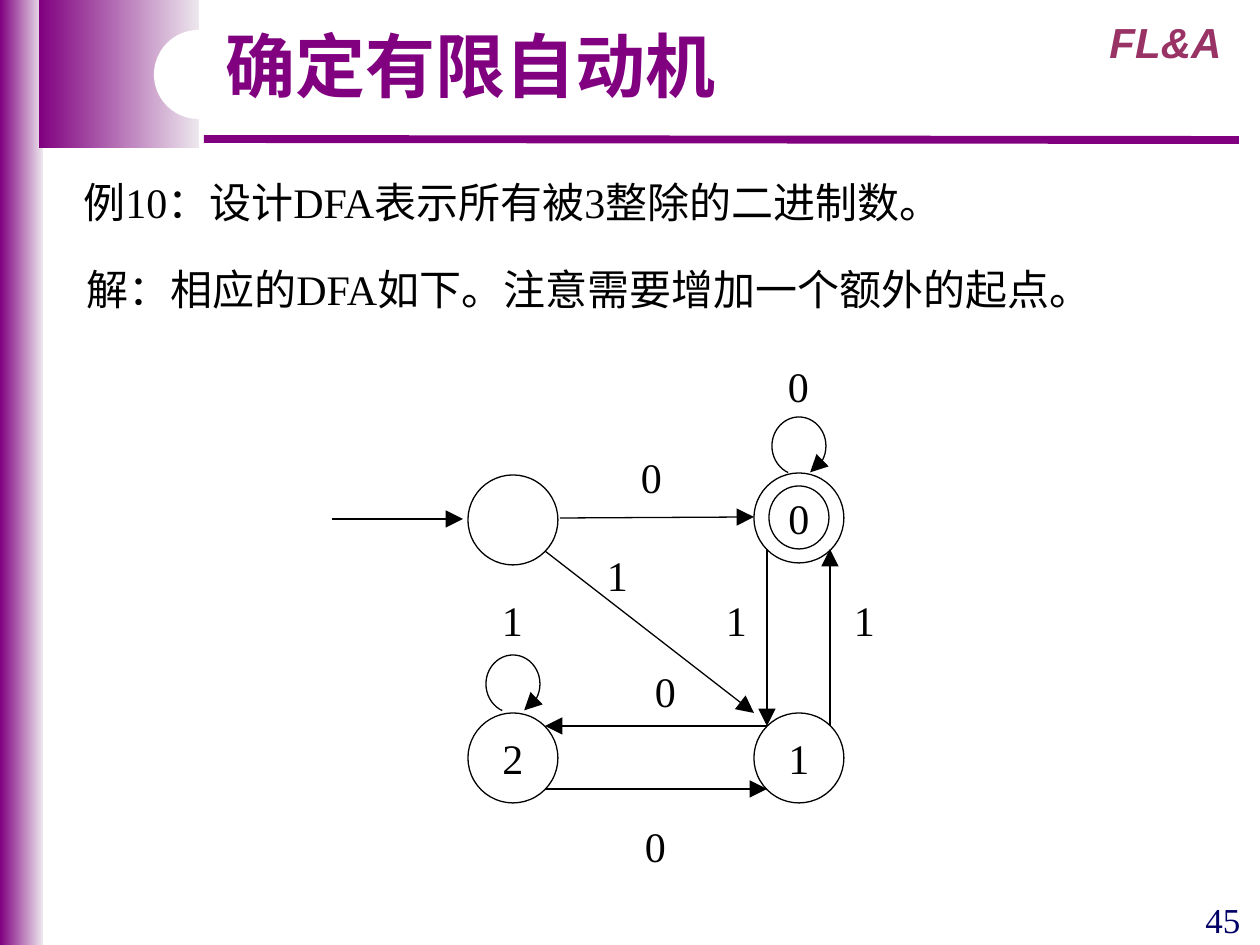
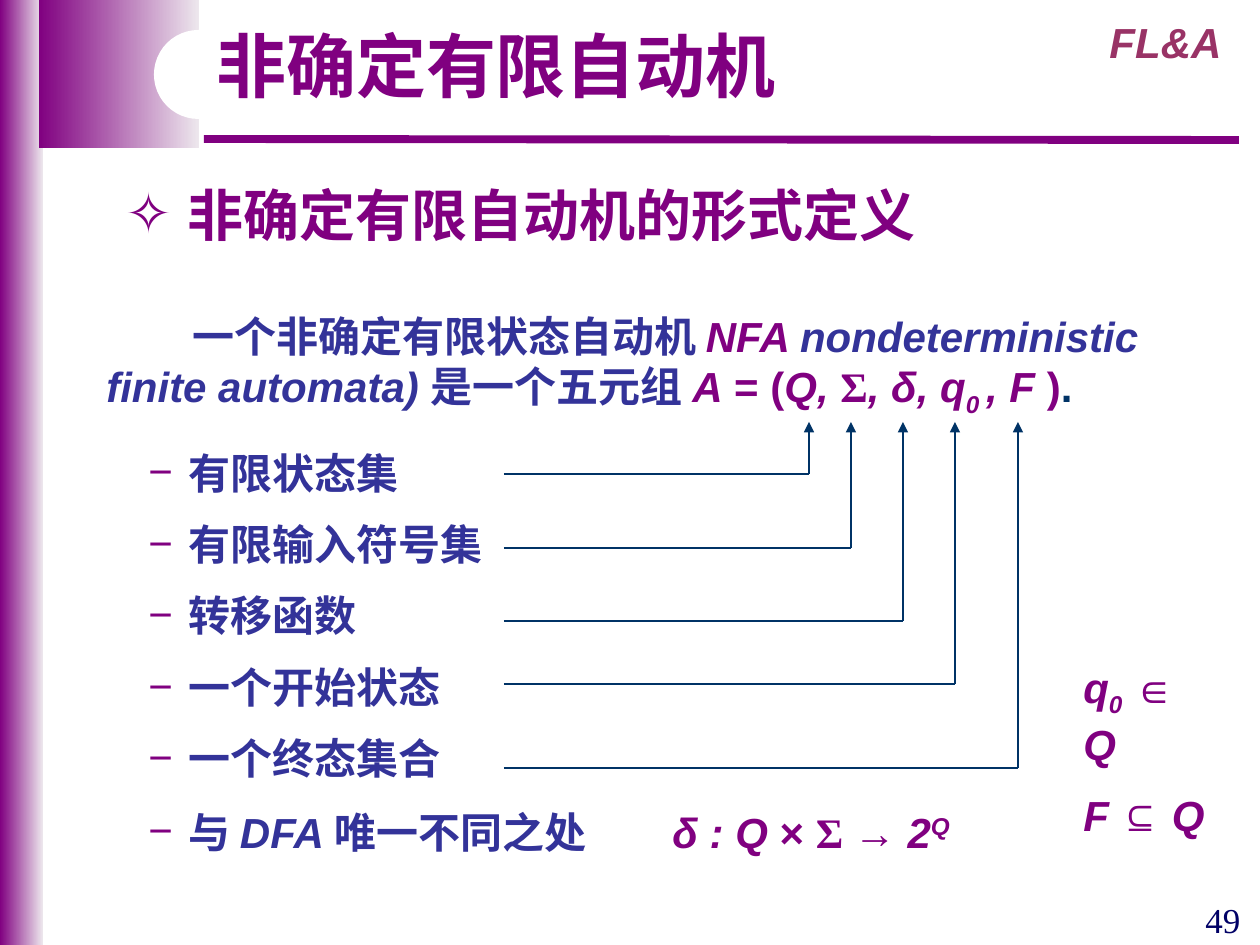
from dataclasses import dataclass, replace

from lxml import etree
from pptx import Presentation
from pptx.dml.color import RGBColor
from pptx.enum.shapes import MSO_CONNECTOR, MSO_SHAPE
from pptx.enum.text import MSO_ANCHOR, PP_ALIGN
from pptx.oxml.ns import qn
from pptx.util import Inches, Pt

PX = 7257  # EMU in one px, 126 px to the inch
PURPLE, PALE, WHITE, BLACK = "800080", "EDE7ED", "FFFFFF", "000000"
MAROON, NAVY, INDIGO, TEAL = "993366", "000066", "333399", "003366"
TIMES, ARIAL, CJK = "Times New Roman", "Arial", "Noto Sans CJK SC"


@dataclass
class Style:
    font: str = TIMES
    size: int = 24
    color: str = BLACK
    bold: bool = False
    italic: bool = False
    baseline: int = 0


def write(shape, paragraphs, align=PP_ALIGN.LEFT, bullet=None, hang=0, gap=0, wrap=True):
    """Fill a shape with paragraphs, each a list of (text, Style) runs."""
    frame = shape.text_frame
    frame.word_wrap = wrap
    for number, runs in enumerate(paragraphs):
        paragraph = frame.add_paragraph() if number else frame.paragraphs[0]
        paragraph.alignment = align
        if number:
            paragraph.space_before = Pt(gap)
        if bullet:
            properties = paragraph._p.get_or_add_pPr()
            properties.set("marL", str(hang * PX))
            properties.set("indent", str(-hang * PX))
            color = etree.SubElement(properties, qn("a:buClr"))
            etree.SubElement(color, qn("a:srgbClr"), val=PURPLE)
            etree.SubElement(properties, qn("a:buFont"), typeface=ARIAL)
            etree.SubElement(properties, qn("a:buChar"), char=bullet)
        for text, style in runs:
            run = paragraph.add_run()
            run.text = text
            run.font.name = style.font
            run.font.size = Pt(style.size)
            run.font.bold = style.bold
            run.font.italic = style.italic
            run.font.color.rgb = RGBColor.from_string(style.color)
            properties = run._r.get_or_add_rPr()
            etree.SubElement(properties, qn("a:ea"), typeface=CJK)
            if style.baseline:
                properties.set("baseline", str(style.baseline * 1000))


def connect(slide, start, end, color=BLACK, width=0.75, head=None):
    """Draw a straight line; head is the arrowhead size at its end, if any."""
    points = [value * PX for value in (*start, *end)]
    line = slide.shapes.add_connector(MSO_CONNECTOR.STRAIGHT, *points)
    line.line.color.rgb = RGBColor.from_string(color)
    line.line.width = Pt(width)
    if head:
        etree.SubElement(line.line._get_or_add_ln(), qn("a:tailEnd"),
                         type="triangle", w=head, len=head)
    etree.SubElement(line._element.spPr, qn("a:effectLst"))


deck = Presentation()
deck.slide_width, deck.slide_height = Inches(10), Inches(7.5)

# What both slides share
heading = Style(size=40, color=PURPLE, bold=True)
course = Style(ARIAL, color=MAROON, bold=True, italic=True)
pages = []
for title, title_width, page_number in (
    ("确定有限自动机", 535, "45"),
    ("非确定有限自动机", 586, "49"),
):
    page = deck.slides.add_slide(deck.slide_layouts[6])
    pages.append(page)
    for box in ((0, 0, 43, 945), (39, 0, 160, 148)):
        band = page.shapes.add_shape(MSO_SHAPE.RECTANGLE, *[v * PX for v in box])
        band.shadow.inherit = False
        band.line.fill.background()
        band.fill.gradient()
        band.fill.gradient_angle = 0
        for stop, color in zip(band.fill.gradient_stops, (PURPLE, PALE)):
            stop.color.rgb = RGBColor.from_string(color)
    connect(page, (204, 139), (1239, 140), PURPLE, 4.5)

    notch = page.shapes.add_shape(MSO_SHAPE.ROUNDED_RECTANGLE,
                                  154 * PX, 30 * PX, 456 * PX, 89 * PX)
    notch.adjustments[0] = 0.5
    notch.shadow.inherit = False
    notch.fill.solid()
    notch.fill.fore_color.rgb = RGBColor.from_string(WHITE)
    notch.line.fill.background()

    for text, style, box in (
        ("FL&A", course, (1086, 10, 159, 63)),
        (title, heading, (203, 26, title_width, 88)),
        (page_number, Style(size=20, color=NAVY), (1186, 892, 74, 53)),
    ):
        label = page.shapes.add_textbox(*[v * PX for v in box])
        write(label, [[(text, style)]], PP_ALIGN.CENTER)
        if text == title:
            label.text_frame.paragraphs[0].line_spacing = 0.9

dfa, nfa = pages

# Slide 1: automaton for binary numbers divisible by 3
plain = Style()
for text, left, top in (
    ("例10：设计DFA表示所有被3整除的二进制数。", 71, 170),
    ("解：相应的DFA如下。注意需要增加一个额外的起点。", 74, 257),
):
    sentence = dfa.shapes.add_textbox(left * PX, top * PX, 1134 * PX, 63 * PX)
    write(sentence, [[(text, plain)]])

for name, left, top, width, height in (
    ("", 468, 475, 90, 90),
    ("", 769, 486, 60, 63),
    ("0", 754, 473, 90, 90),
    ("2", 468, 713, 90, 90),
    ("1", 754, 713, 90, 90),
):
    state = dfa.shapes.add_shape(MSO_SHAPE.OVAL, left * PX, top * PX, width * PX, height * PX)
    state.shadow.inherit = False
    state.fill.background()
    state.line.color.rgb = RGBColor.from_string(BLACK)
    state.line.width = Pt(0.75)
    if name:
        state.text_frame.vertical_anchor = MSO_ANCHOR.MIDDLE
        write(state, [[(name, plain)]], PP_ALIGN.CENTER, wrap=False)

for left, top in ((772, 417), (486, 655)):
    loop = dfa.shapes.add_shape(MSO_SHAPE.ARC, left * PX, top * PX, 54 * PX, 58 * PX)
    for index, degrees in enumerate((112, 67)):
        loop.adjustments[index] = degrees * 0.6
    loop.shadow.inherit = False
    loop.fill.background()
    loop.line.color.rgb = RGBColor.from_string(BLACK)
    loop.line.width = Pt(0.75)
    etree.SubElement(loop.line._get_or_add_ln(), qn("a:tailEnd"),
                     type="triangle", w="lg", len="lg")

for start, end in (
    ((332, 519), (463, 519)),
    ((560, 518), (754, 517)),
    ((545, 551), (754, 713)),
    ((767, 549), (767, 726)),
    ((830, 726), (830, 549)),
    ((767, 726), (545, 726)),
    ((545, 789), (767, 789)),
):
    connect(dfa, start, end, head="lg")

for symbol, left, top in (
    ("0", 627, 445), ("0", 774, 354), ("0", 631, 814), ("0", 641, 659),
    ("1", 488, 588), ("1", 712, 588), ("1", 840, 588), ("1", 593, 543),
):
    label = dfa.shapes.add_textbox(left * PX, top * PX, 49 * PX, 63 * PX)
    write(label, [[(symbol, plain)]], PP_ALIGN.CENTER)

# Slide 2: formal definition of an NFA
item = Style(CJK, color=INDIGO, bold=True)
term = Style(ARIAL, color=INDIGO, bold=True, italic=True)
symbol = replace(term, color=PURPLE)
upright = replace(symbol, italic=False)
greek = replace(upright, font=TIMES)
subscript = replace(symbol, baseline=-25)
superscript = replace(symbol, baseline=30)

topic = nfa.shapes.add_textbox(113 * PX, 174 * PX, 843 * PX, 79 * PX)
write(topic, [[("非确定有限自动机的形式定义", replace(item, size=32, color=PURPLE))]],
      bullet="✧", hang=62)

definition = nfa.shapes.add_textbox(94 * PX, 304 * PX, 1111 * PX, 113 * PX)
write(definition, [
    [("一个非确定有限状态自动机 ", replace(item, font=TIMES)), ("NFA ", symbol),
     ("nondeterministic", term)],
    [("finite automata) ", term), ("是一个五元组 ", replace(term, italic=False)),
     ("A", symbol), (" = (", upright), ("Q, ", symbol), ("Σ", greek),
     (", δ, q", symbol), ("0 ", subscript), (", F ", symbol), (")", upright),
     (".", replace(upright, color=TEAL))],
])
definition.text_frame.paragraphs[0]._p.get_or_add_pPr().set("indent", str(86 * PX))

components = nfa.shapes.add_textbox(136 * PX, 441 * PX, 378 * PX, 348 * PX)
write(components, [[(text, item)] for text in (
    "有限状态集", "有限输入符号集", "转移函数", "一个开始状态", "一个终态集合")],
    bullet="−", hang=40, gap=12)

for tuple_x, component_y in ((809, 474), (851, 548), (903, 621), (955, 684), (1018, 768)):
    corner = (tuple_x, component_y)
    connect(nfa, (504, component_y), corner, TEAL)
    connect(nfa, corner, (tuple_x, 422), TEAL, head="med")

membership = nfa.shapes.add_textbox(1071 * PX, 655 * PX, 150 * PX, 135 * PX)
write(membership, [
    [("q", symbol), ("0", subscript), (" ∈ ", greek), ("Q", symbol)],
    [("F", symbol), (" ⊆ ", greek), ("Q", symbol)],
], gap=12)

difference = nfa.shapes.add_textbox(136 * PX, 800 * PX, 510 * PX, 63 * PX)
write(difference, [[("与 ", replace(item, font=TIMES)), ("DFA ", term), ("唯一不同之处", item)]],
      bullet="−", hang=40)

transition = nfa.shapes.add_textbox(660 * PX, 800 * PX, 348 * PX, 63 * PX)
write(transition, [[("δ : Q ", symbol), ("× ", upright), ("Σ ", greek), ("→ ", upright),
                    ("2", symbol), ("Q", superscript)]])

deck.save("out.pptx")
